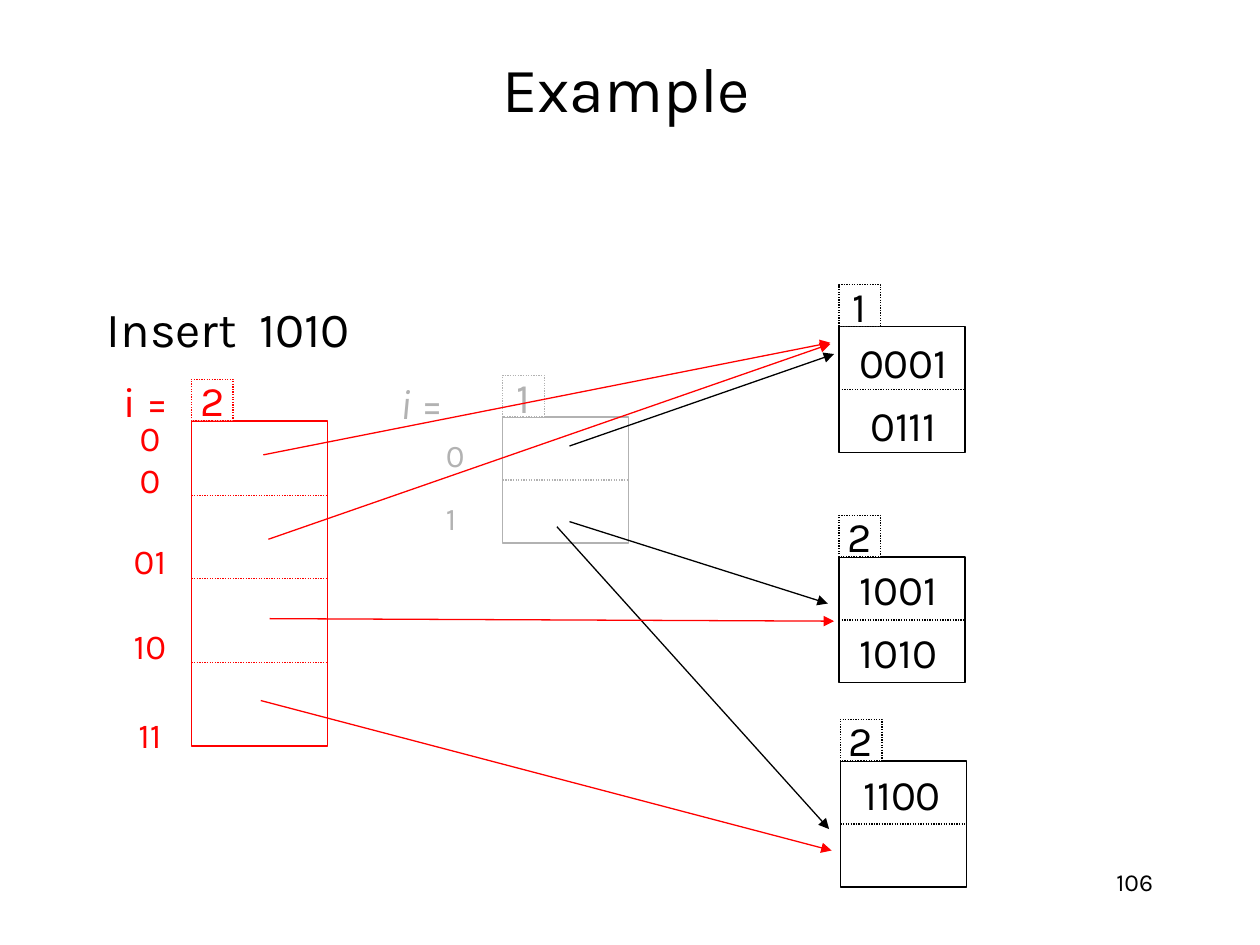
import pptx
import pptx.util
import pptx.dml.color
import pptx.enum.dml
import pptx.enum.shapes
import pptx.enum.text
import pptx.oxml.ns
from lxml import etree

ALIGN = pptx.enum.text.PP_ALIGN
ANCHOR = pptx.enum.text.MSO_ANCHOR
DOT = pptx.enum.dml.MSO_LINE.ROUND_DOT
SCALE = 9144  # EMU in one px, at 100 px to the inch
TAG = 33

THEME = {
    "font": "Karla",
    "ink": "000000", "old": "B2B2B2", "new": "FF0000", "paper": "FFFFFF",
    "title": 36, "lead": 28, "cell": 24, "code": 20, "bit": 18, "page": 14,
    "line": 0.75,
}

# depth, left, top, shift of the keys, keys
BUCKETS = [
    ("1", 666, 259, (3, 3), ["0001", "0111"]),
    ("2", 666, 442, (-1, 0), ["1001", "1010"]),
    ("2", 667, 604, (1, 1), ["1100"]),
]
# code, line spacing
CODES = [("00", 1), ("01", 1.4), ("10", 1.5), ("11", 1.6)]
BITS = ["0", "1"]
ARROWS = [
    ("ink", [(452, 354, 662, 281), (452, 414, 657, 479), (442, 418, 658, 658)]),
    ("new", [(209, 361, 659, 272), (213, 428, 659, 273),
             (207, 556, 660, 675), (214, 491, 662, 493)]),
]

deck = pptx.Presentation()
deck.slide_width, deck.slide_height = 1000 * SCALE, 750 * SCALE
slide = deck.slides.add_slide(deck.slide_layouts[6])


def emu(*px):
    return [n * SCALE for n in px]


def color(name):
    return pptx.dml.color.RGBColor.from_string(THEME[name])


def write(frame, paras, size="cell", ink="ink", align=ALIGN.CENTER,
          anchor=ANCHOR.MIDDLE, wrap=False, gap=0, tab=None):
    """Fill a frame; a paragraph is (runs, line spacing), a run (text, italic)."""
    frame.word_wrap = wrap
    frame.vertical_anchor = anchor
    for num, (runs, space) in enumerate(paras):
        para = frame.add_paragraph() if num else frame.paragraphs[0]
        para.alignment = align
        para.line_spacing = space
        para.space_before = pptx.util.Pt(gap if num else 0)
        if tab:
            tabs = etree.SubElement(para._p.get_or_add_pPr(),
                                    pptx.oxml.ns.qn("a:tabLst"))
            etree.SubElement(tabs, pptx.oxml.ns.qn("a:tab"),
                             pos=str(tab * SCALE), algn="l")
        for text, slant in runs:
            run = para.add_run()
            run.text = text
            run.font.name = THEME["font"]
            run.font.size = pptx.util.Pt(THEME[size])
            run.font.italic = slant
            run.font.color.rgb = color(ink)


def plain(text):
    return [([(text, False)], 1)]


def label(paras, x, y, w, h, **form):
    box = slide.shapes.add_textbox(*emu(x, y, w, h))
    write(box.text_frame, paras, **form)


def rect(x, y, w, h, ink, dash=None):
    box = slide.shapes.add_shape(pptx.enum.shapes.MSO_SHAPE.RECTANGLE,
                                 *emu(x, y, w, h))
    box.shadow.inherit = False
    box.fill.solid()
    box.fill.fore_color.rgb = color("paper")
    stroke(box.line, ink, dash)
    return box


def stroke(line, ink, dash=None):
    line.color.rgb = color(ink)
    line.width = pptx.util.Pt(THEME["line"])
    if dash:
        line.dash_style = dash


def link(ends, ink, dash=None, head=False):
    line = slide.shapes.add_connector(
        pptx.enum.shapes.MSO_CONNECTOR.STRAIGHT, *emu(*ends))
    stroke(line.line, ink, dash)
    if head:
        etree.SubElement(line.line._get_or_add_ln(),
                         pptx.oxml.ns.qn("a:tailEnd"), type="triangle")
    etree.SubElement(line._element.spPr, pptx.oxml.ns.qn("a:effectLst"))


def block(depth, x, y, w, h, cuts, ink):
    """Draw a box with a depth tag on top and dotted cuts across it."""
    rect(x, y, w, h, ink)
    tag = rect(x, y - TAG, TAG, TAG, ink, DOT)
    write(tag.text_frame, plain(depth), ink=ink)
    for cut in cuts:
        link((x, y + cut, x + w, y + cut), ink, DOT)


label(plain("Example"), 72, 31, 850, 76, size="title", wrap=True)
label(plain("Insert\t1010"), 75, 233, 850, 55, size="lead",
      align=ALIGN.LEFT, wrap=True, tab=121)
label(plain("106"), 717, 683, 208, 50, size="page",
      align=ALIGN.RIGHT, anchor=ANCHOR.TOP, wrap=True)

block("1", 399, 331, 100, 100, [50], "old")
for row, bit in enumerate(BITS):
    label(plain(bit), 344, 341 + 50 * row, 34, 40, size="bit", ink="old",
          align=ALIGN.LEFT, anchor=ANCHOR.TOP)
label([([("i", True), (" =", False)], 1)], 308, 295, 56, 50, ink="old",
      align=ALIGN.LEFT, anchor=ANCHOR.TOP)

for depth, x, y, (dx, dy), keys in BUCKETS:
    block(depth, x, y, 100, 100, [50], "ink")
    for row, key in enumerate(keys):
        label(plain(key), x + dx, y + dy + 50 * row, 96, 50)

block("2", 152, 334, 108, 258, [59, 125, 192], "new")
label(plain("i ="), 88, 293, 56, 50, ink="new")
label([([(code, False)], space) for code, space in CODES], 93, 342, 52, 246,
      size="code", ink="new", wrap=True, gap=12.5)

for ink, lines in ARROWS:
    for ends in lines:
        link(ends, ink, head=True)

deck.save("out.pptx")
